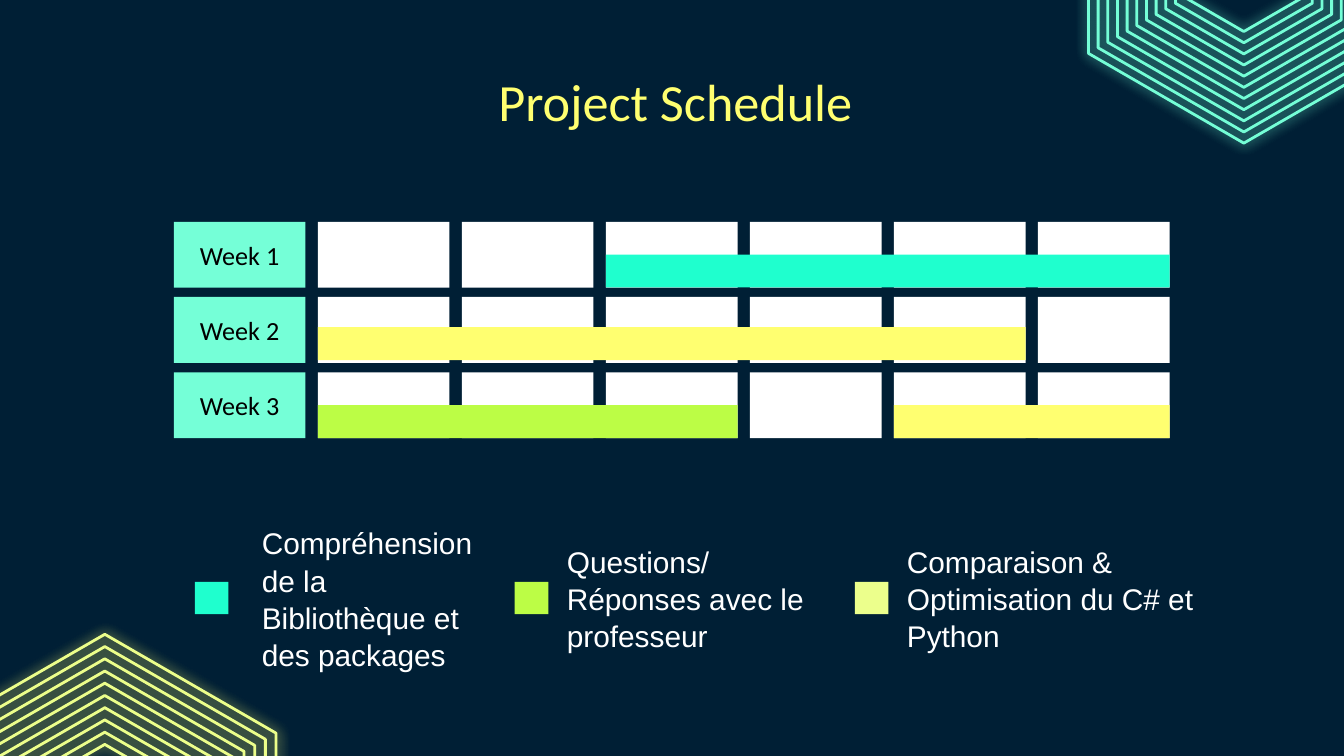
from math import sqrt

from lxml.etree import SubElement as Sub
from pptx import Presentation
from pptx.dml.color import RGBColor as Rgb
from pptx.enum.shapes import MSO_SHAPE as Kind
from pptx.enum.text import MSO_ANCHOR as Anchor, MSO_AUTO_SIZE as Fit, PP_ALIGN as Align
from pptx.oxml.ns import qn
from pptx.util import Inches, Pt

# The slide is a grid of 100 columns by 56.25 rows, each a tenth of an inch.
UNIT = Inches(0.1)
COLS, ROWS = 100, 56.25

HEX = {
    "night": "001F35", "white": "FFFFFF", "black": "000000",
    "yellow": "FFFF70", "pale": "ECFF8C", "lime": "BCFD45",
    "mint": "75FFD7", "teal": "1FFFCE",
}
HEAD = {"name": "Calibri", "size": Pt(28), "bold": False}
WEEK = {"name": "Calibri", "size": Pt(14)}
NOTE = {"name": "Arial", "size": Pt(16)}
FRAME = {
    "word_wrap": True, "auto_size": Fit.NONE, "vertical_anchor": Anchor.MIDDLE,
    "margin_left": UNIT, "margin_right": UNIT,
    "margin_top": UNIT, "margin_bottom": UNIT,
}


def color(name):
    return Rgb.from_string(HEX[name])


def units(*vals):
    return [round(val * UNIT) for val in vals]


def assign(item, vals):
    for key, val in vals.items():
        setattr(item, key, val)


def write(shape, text, font, tint, align=Align.CENTER, space=1.0):
    frame = shape.text_frame
    assign(frame, FRAME)
    para = frame.paragraphs[0]
    assign(para, {"alignment": align, "line_spacing": space})
    run = para.add_run()
    run.text = text
    assign(run.font, font)
    run.font.color.rgb = color(tint)


def block(shapes, box, tint):
    rect = shapes.add_shape(Kind.RECTANGLE, *units(*box))
    rect.shadow.inherit = False
    rect.fill.solid()
    rect.fill.fore_color.rgb = color(tint)
    rect.line.fill.background()
    return rect


def glow(shape, tint):
    """Give the outline a soft halo by way of a blurred shadow."""
    shape.shadow.inherit = False
    effects = shape._element.spPr.find(qn("a:effectLst"))
    shade = Sub(effects, qn("a:outerShdw"), blurRad=str(Pt(6.8)), dist="0",
                dir="0", algn="ctr", rotWithShape="0")
    tone = Sub(shade, qn("a:srgbClr"), val=HEX[tint])
    Sub(tone, qn("a:alpha"), val="90000")


def rings(slide, mid, tall, step, count, tint, halo):
    """Draw nested hexagons around mid, the largest one first."""
    shapes = slide.shapes.add_group_shape().shapes
    x, y = mid
    for i in range(count):
        half = (tall - i * step) / 2
        side = half * sqrt(3) / 2
        spots = [(0, -half), (-side, -half / 2), (-side, half / 2),
                 (0, half), (side, half / 2), (side, -half / 2)]
        points = [units(x + dx, y + dy) for dx, dy in spots]
        pen = shapes.build_freeform(*points[0], scale=1.0)
        pen.add_line_segments(points[1:], close=True)
        ring = pen.convert_to_shape()
        ring.fill.background()
        ring.line.color.rgb = color(tint)
        ring.line.width = Pt(1.5)
        glow(ring, halo)


def title(slide, box, text):
    head = slide.shapes.title
    assign(head, dict(zip(("left", "top", "width", "height"), units(*box))))
    write(head, text, HEAD, "yellow")


def schedule(slide, box, weeks, days, bars):
    """Draw a row per week; a bar is (week, first day, day count, tint, lift)."""
    shapes = slide.shapes.add_group_shape().shapes
    left, top, width, height = box
    cell_w, cell_h, bar_h = 9.8, 4.9, 2.45
    dx = (width - cell_w) / days
    dy = (height - cell_h) / (weeks - 1)
    for row in range(weeks):
        y = top + row * dy
        label = block(shapes, (left, y, cell_w, cell_h), "mint")
        write(label, f"Week {row + 1}", WEEK, "black")
        for day in range(1, days + 1):
            block(shapes, (left + day * dx, y, cell_w, cell_h), "white")
    for week, day, count, tint, lift in bars:
        y = top + (week - 1) * dy + cell_h - bar_h - lift
        block(shapes, (left + day * dx, y, (count - 1) * dx + cell_w, bar_h), tint)


def legend(slide, top, items):
    tall = 2.4
    for key, left, width, tint, text in items:
        block(slide.shapes, (key, top, 2.5, tall), tint)
        note = slide.shapes.add_textbox(*units(left, top, width, tall))
        write(note, text, NOTE, "white", Align.LEFT, 1.04)


def main():
    deck = Presentation()
    deck.slide_width, deck.slide_height = units(COLS, ROWS)
    slide = deck.slides.add_slide(deck.slide_layouts.get_by_name("Title Only"))
    back = slide.background.fill
    back.solid()
    back.fore_color.rgb = color("night")

    rings(slide, (7.8, 61.9), 29.4, 1.82, 10, "pale", "yellow")
    rings(slide, (92.55, -2.7), 26.7, 1.66, 11, "mint", "mint")
    title(slide, (7.8, 5.9, 84.9, 3.2), "Project Schedule")
    schedule(slide, (12.93, 16.5, 74.1, 16.1), 3, 6, [
        (1, 3, 4, "teal", 0),
        (2, 1, 5, "yellow", 0.2),
        (3, 1, 3, "lime", 0),
        (3, 5, 2, "yellow", 0),
    ])
    legend(slide, 43.3, [
        (14.5, 18.5, 17.8, "teal", "Compréhension de la Bibliothèque et des packages"),
        (38.3, 41.2, 20.6, "lime", "Questions/Réponses avec le professeur"),
        (63.6, 66.5, 23.6, "pale", "Comparaison & Optimisation du C# et Python"),
    ])
    deck.save("out.pptx")


if __name__ == "__main__":
    main()
